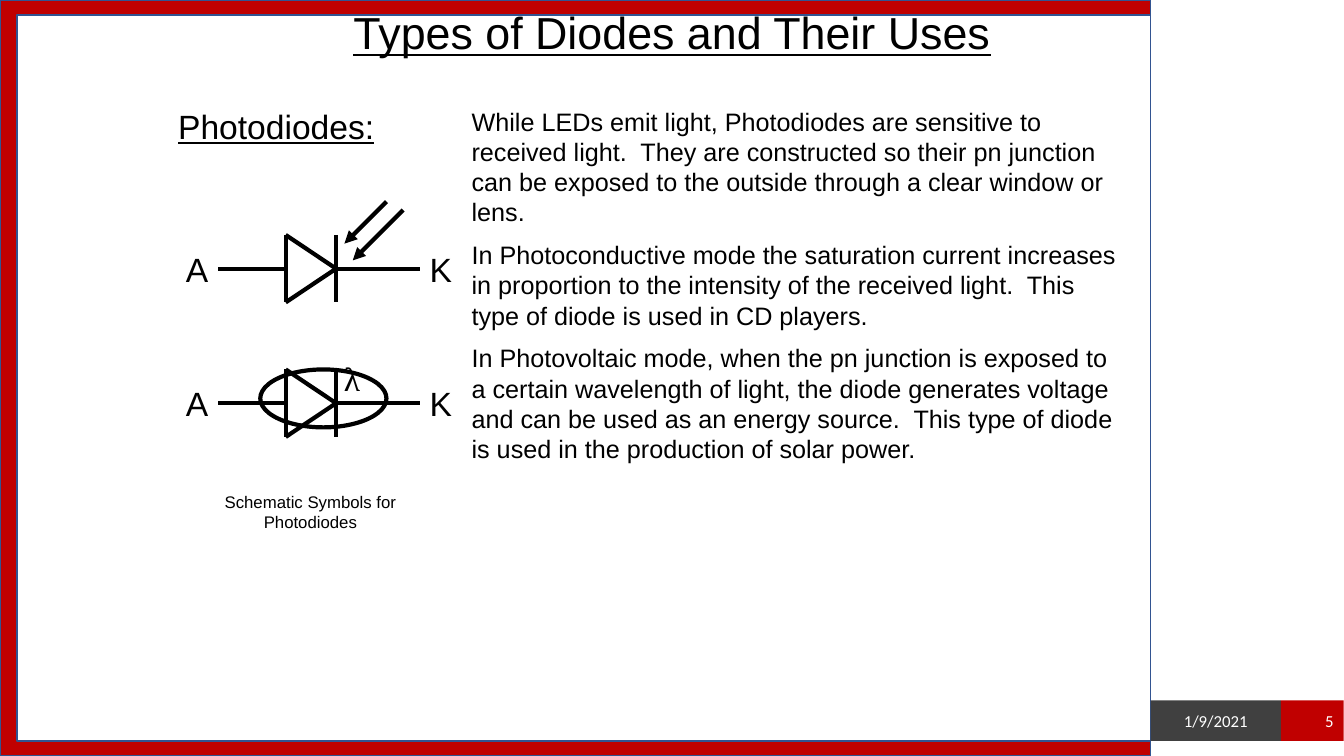
"""Builds the slide on photodiodes, their schematic symbols and their uses."""
from dataclasses import dataclass
from typing import Optional

from lxml import etree
from pptx import Presentation
from pptx.dml.color import RGBColor
from pptx.enum.shapes import MSO_CONNECTOR, MSO_SHAPE
from pptx.enum.text import MSO_ANCHOR, MSO_AUTO_SIZE, PP_ALIGN
from pptx.oxml.ns import qn
from pptx.shapes.autoshape import Shape
from pptx.slide import Slide
from pptx.util import Cm, Pt

STRAIGHT = MSO_CONNECTOR.STRAIGHT
RECTANGLE, OVAL = MSO_SHAPE.RECTANGLE, MSO_SHAPE.OVAL
TOP, MIDDLE = MSO_ANCHOR.TOP, MSO_ANCHOR.MIDDLE
LEFT, CENTER, RIGHT = PP_ALIGN.LEFT, PP_ALIGN.CENTER, PP_ALIGN.RIGHT
NO_AUTOFIT = MSO_AUTO_SIZE.NONE


@dataclass(frozen=True)
class Theme:
    ink: RGBColor = RGBColor(0x00, 0x00, 0x00)
    paper: RGBColor = RGBColor(0xFF, 0xFF, 0xFF)
    red: RGBColor = RGBColor(0xC0, 0x00, 0x00)
    grey: RGBColor = RGBColor(0x40, 0x40, 0x40)
    frame_edge: RGBColor = RGBColor(0x32, 0x54, 0x91)
    main_font: str = "Arial"
    footer_font: str = "Calibri"
    symbol_font: str = "Times New Roman"
    title: int = 32
    heading: int = 24
    body: int = 18
    small: int = 12
    wire: int = 3


THEME = Theme()


@dataclass(frozen=True)
class Box:
    left: float
    top: float
    width: float
    height: float

    def emu(self) -> tuple[Cm, Cm, Cm, Cm]:
        return Cm(self.left), Cm(self.top), Cm(self.width), Cm(self.height)


@dataclass(frozen=True)
class TextStyle:
    size: int
    font: str = THEME.main_font
    color: RGBColor = THEME.ink
    align: PP_ALIGN = CENTER
    anchor: MSO_ANCHOR = TOP
    underline: bool = False
    gap: float = 0


@dataclass(frozen=True)
class Caption:
    text: str
    box: Box
    style: TextStyle


@dataclass(frozen=True)
class Panel:
    box: Box
    fill: RGBColor
    edge: Optional[RGBColor] = None
    text: str = ""
    align: PP_ALIGN = CENTER


@dataclass(frozen=True)
class Wire:
    x1: float
    y1: float
    x2: float
    y2: float
    arrow: bool = False


ANODE_X, BASE_X, TIP_X, CATHODE_X = 5.5, 7.2, 8.47, 10.58
HALF_HEIGHT = 0.85
DIODE_AXES = (6.77, 10.16)
LABELS = (("A", 4.23), ("K", 10.37))
LENS = Box(6.56, 9.31, 3.18, 1.46)
LIGHT_RAYS = (
    Wire(9.74, 5.08, 8.68, 6.14, arrow=True),
    Wire(10.16, 5.29, 8.89, 6.56, arrow=True),
)
FRAME = (
    Panel(Box(0, 0, 29, 19.05), THEME.red, THEME.frame_edge),
    Panel(Box(0.43, 0.38, 28.57, 18.29), THEME.paper, THEME.frame_edge),
)
FOOTER = (
    Panel(Box(29, 17.65, 3.28, 1.02), THEME.grey, text="1/9/2021"),
    Panel(Box(32.28, 17.65, 1.58, 1.02), THEME.red, text="5", align=RIGHT),
)
TITLE = Caption("Types of Diodes and Their Uses", Box(6.78, 0, 20.32, 1.6),
                TextStyle(THEME.title, underline=True))
USES = Caption(
    "While LEDs emit light, Photodiodes are sensitive to received light.  They are "
    "constructed so their pn junction can be exposed to the outside through a clear "
    "window or lens.\n"
    "In Photoconductive mode the saturation current increases in proportion to the "
    "intensity of the received light.  This type of diode is used in CD players.\n"
    "In Photovoltaic mode, when the pn junction is exposed to a certain wavelength of "
    "light, the diode generates voltage and can be used as an energy source.  This type "
    "of diode is used in the production of solar power.",
    Box(11.63, 2.54, 17.02, 9.5), TextStyle(THEME.body, align=LEFT, gap=9))
CAPTIONS = (
    Caption("Photodiodes:", Box(4.24, 2.54, 7.19, 1.27),
            TextStyle(THEME.heading, align=LEFT, underline=True)),
    Caption("Schematic Symbols for Photodiodes", Box(4.65, 12.27, 6.35, 1.27),
            TextStyle(THEME.small)),
    Caption("λ", Box(8.13, 8.89, 1.48, 1.27),
            TextStyle(THEME.heading, font=THEME.symbol_font)),
)


def write(shape: Shape, text: str, style: TextStyle) -> None:
    frame = shape.text_frame
    frame.text = text
    frame.word_wrap = True
    frame.auto_size = NO_AUTOFIT
    frame.vertical_anchor = style.anchor
    for paragraph in frame.paragraphs:
        paragraph.alignment = style.align
        paragraph.space_before = Pt(0)
        paragraph.space_after = Pt(style.gap)
        font = paragraph.font
        font.name, font.size = style.font, Pt(style.size)
        font.color.rgb = style.color
        font.underline = style.underline


def fill_placeholder(placeholder: Shape, caption: Caption) -> None:
    (placeholder.left, placeholder.top,
     placeholder.width, placeholder.height) = caption.box.emu()
    write(placeholder, caption.text, caption.style)


def remove_bullets(shape: Shape) -> None:
    for paragraph in shape.text_frame.paragraphs:
        properties = paragraph._p.get_or_add_pPr()
        properties.set("marL", "0")
        properties.set("indent", "0")
        bullet = etree.Element(qn("a:buNone"))
        properties.find(qn("a:spcAft")).addnext(bullet)


def add_caption(slide: Slide, caption: Caption) -> None:
    write(slide.shapes.add_textbox(*caption.box.emu()), caption.text, caption.style)


def add_panel(slide: Slide, panel: Panel) -> Shape:
    shape = slide.shapes.add_shape(RECTANGLE, *panel.box.emu())
    shape.shadow.inherit = False
    shape.fill.solid()
    shape.fill.fore_color.rgb = panel.fill
    if panel.edge is None:
        shape.line.fill.background()
    else:
        shape.line.color.rgb = panel.edge
        shape.line.width = Pt(1)
    if panel.text:
        write(shape, panel.text, TextStyle(THEME.small, THEME.footer_font, THEME.paper,
                                           panel.align, MIDDLE))
    return shape


def add_wire(slide: Slide, wire: Wire) -> None:
    connector = slide.shapes.add_connector(
        STRAIGHT, Cm(wire.x1), Cm(wire.y1), Cm(wire.x2), Cm(wire.y2))
    connector.line.color.rgb = THEME.ink
    connector.line.width = Pt(THEME.wire)
    if wire.arrow:
        etree.SubElement(connector.line._get_or_add_ln(), qn("a:tailEnd"), type="triangle")
    etree.SubElement(connector._element.spPr, qn("a:effectLst"))


def add_diode(slide: Slide, axis: float) -> None:
    top, bottom = axis - HALF_HEIGHT, axis + HALF_HEIGHT
    for text, left in LABELS:
        add_caption(slide, Caption(text, Box(left, axis - 0.63, 1.48, 1.27),
                                   TextStyle(THEME.heading)))
    for wire in (
        Wire(ANODE_X, axis, BASE_X, axis),
        Wire(BASE_X, top, BASE_X, bottom),
        Wire(BASE_X, top, TIP_X, axis),
        Wire(TIP_X, axis, BASE_X, bottom),
        Wire(TIP_X, top, TIP_X, bottom),
        Wire(TIP_X, axis, CATHODE_X, axis),
    ):
        add_wire(slide, wire)


def add_lens(slide: Slide) -> None:
    lens = slide.shapes.add_shape(OVAL, *LENS.emu())
    lens.shadow.inherit = False
    lens.fill.background()
    lens.line.color.rgb = THEME.ink
    lens.line.width = Pt(THEME.wire)


def main() -> None:
    deck = Presentation()
    deck.slide_width, deck.slide_height = Cm(33.87), Cm(19.05)
    slide = deck.slides.add_slide(deck.slide_layouts[1])
    title, uses = slide.placeholders
    fill_placeholder(title, TITLE)
    fill_placeholder(uses, USES)
    remove_bullets(uses)
    for panel in FRAME:
        title.element.addprevious(add_panel(slide, panel).element)
    for axis in DIODE_AXES:
        add_diode(slide, axis)
    add_lens(slide)
    for ray in LIGHT_RAYS:
        add_wire(slide, ray)
    for caption in CAPTIONS:
        add_caption(slide, caption)
    for panel in FOOTER:
        add_panel(slide, panel)
    deck.save("out.pptx")


if __name__ == "__main__":
    main()
